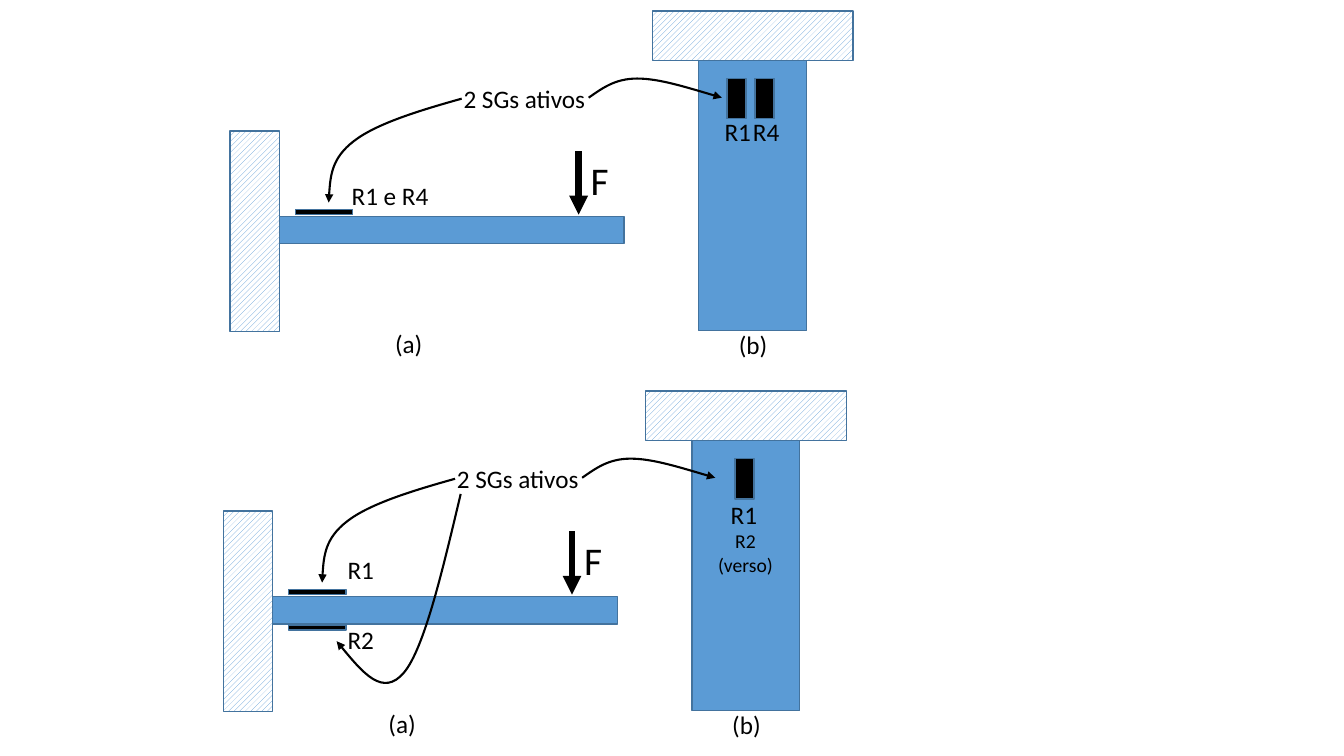
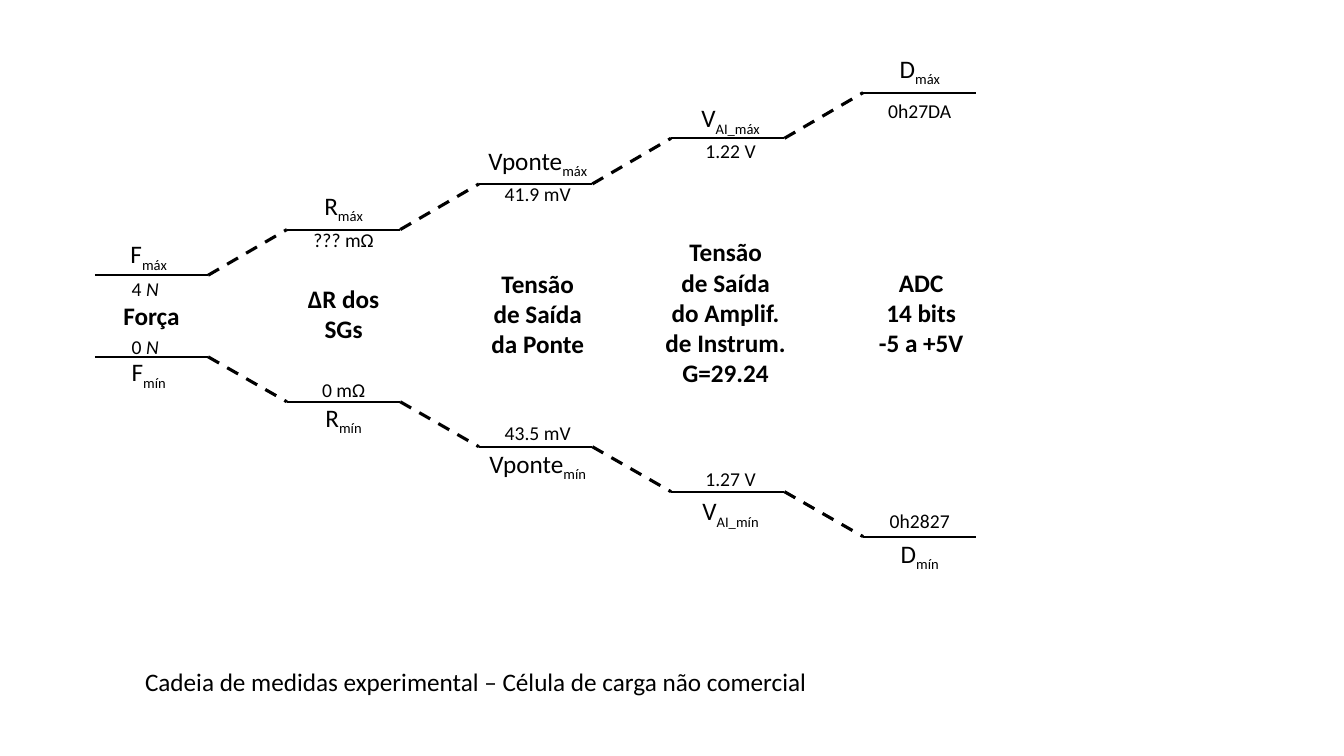
from pptx import Presentation
from pptx.dml.color import RGBColor
from pptx.enum import dml, text
from pptx.enum import shapes as kinds
from pptx.oxml import ns
from pptx.util import Pt
from lxml import etree

FONT = "Calibri"
BLACK, BLUE, EDGE, WHITE = "000000", "5B9BD5", "43739E", "FFFFFF"
LEFT, CENTER = text.PP_ALIGN.LEFT, text.PP_ALIGN.CENTER

RIGHT_CURVE = [(256.3, 61.9), (265.7, 55.4), (275, 48.2), (290.9, 48.2),
               (306.7, 48.2), (329, 55.4), (351.4, 61.9)]
LEFT_CURVE = [(165.6, 62.6), (134.6, 71.3), (104.4, 80.6), (88.6, 92.9),
              (72.7, 105.1), (71.3, 121), (70.6, 136.8)]
UNDER_CURVE = [(169.6, 73.4), (156.6, 128.2), (143.6, 183.6), (129.2, 200.9),
               (114.1, 218.9), (97.6, 198.7), (81, 178.6)]

STAGES = [
    ("F", "", ["Força"], [("4 ", ""), ("N", "i")], [("0 ", ""), ("N", "i")],
     (167, 194.4, 211, 235.4, 251.3), (-2, -4.5, 0)),
    ("R", "", ["ΔR dos", "SGs"], [("??? mΩ", "")], [("0 mΩ", "")],
     (132.5, 159.1, 198.7, 266.4, 283.7), (0, 0, 0)),
    ("Vponte", "", ["Tensão", "de Saída", "da Ponte"], [("41.9 mV", "")], [("43.5 mV", "")],
     (100.1, 126.7, 187.9, 297.4, 316.8), (1.5, 1.5, 1.5)),
    ("V", "AI_", ["Tensão", "de Saída", "do Amplif.", "de Instrum.", "G=29.24"],
     [("1.22 V", "")], [("1.27 V", "")],
     (69.8, 95.8, 165.6, 329.8, 350.6), (2, 2, -1.5)),
    ("D", "", ["ADC", "14 bits", "-5 a +5V"], [("0h27DA", "")], [("0h2827", "")],
     (34.6, 67, 187.2, 360, 380.9), (0, 0, 1)),
]


def colour(value):
    return RGBColor.from_string(value)


def add_text(slide, x, y, width, paragraphs, size=18, align=LEFT):
    label = slide.shapes.add_textbox(Pt(x), Pt(y), Pt(width),
                                     Pt(7.2 + 1.2 * size * len(paragraphs)))
    frame = label.text_frame
    frame.word_wrap = False
    frame.auto_size = text.MSO_AUTO_SIZE.SHAPE_TO_FIT_TEXT
    for index, runs in enumerate(paragraphs):
        paragraph = frame.paragraphs[0] if index == 0 else frame.add_paragraph()
        paragraph.alignment = align
        for words, style in runs:
            run = paragraph.add_run()
            run.text = words
            run.font.name = FONT
            run.font.size = Pt(size)
            run.font.color.rgb = colour(BLACK)
            if style == "b":
                run.font.bold = True
            elif style == "i":
                run.font.italic = True
            elif style == "sub":
                run.font._element.set("baseline", "-25000")


def add_block(slide, x, y, width, height, fill=BLUE, hatched=False):
    block = slide.shapes.add_shape(kinds.MSO_SHAPE.RECTANGLE,
                                   Pt(x), Pt(y), Pt(width), Pt(height))
    block.shadow.inherit = False
    if hatched:
        block.fill.patterned()
        block.fill.pattern = dml.MSO_PATTERN.WIDE_UPWARD_DIAGONAL
        block.fill.fore_color.rgb = colour(BLUE)
        block.fill.back_color.rgb = colour(WHITE)
    else:
        block.fill.solid()
        block.fill.fore_color.rgb = colour(fill)
    block.line.color.rgb = colour(EDGE)
    block.line.width = Pt(1)


def style_line(line, width, arrow=False, dashed=False):
    line.color.rgb = colour(BLACK)
    line.width = Pt(width)
    if dashed:
        line.dash_style = dml.MSO_LINE.DASH
    if arrow:
        etree.SubElement(line._get_or_add_ln(), ns.qn("a:tailEnd"), type="triangle")


def add_line(slide, x1, y1, x2, y2, width=1.5, **style):
    connector = slide.shapes.add_connector(kinds.MSO_CONNECTOR.STRAIGHT,
                                           Pt(x1), Pt(y1), Pt(x2), Pt(y2))
    style_line(connector.line, width, **style)
    etree.SubElement(connector._element.spPr, ns.qn("a:effectLst"))


def add_curve(slide, x, y, points):
    start, *rest = [(Pt(x + dx), Pt(y + dy)) for dx, dy in points]
    builder = slide.shapes.build_freeform(*start)
    builder.add_line_segments(rest, close=False)
    curve = builder.convert_to_shape()
    curve.shadow.inherit = False
    curve.fill.background()
    style_line(curve.line, 1.5, arrow=True)
    segments = list(curve._element.iter(ns.qn("a:lnTo")))
    outline = segments[0].getparent()
    for first in range(0, len(segments), 3):
        bezier = etree.SubElement(outline, ns.qn("a:cubicBezTo"))
        for segment in segments[first:first + 3]:
            bezier.append(segment[0])
            outline.remove(segment)


def draw_beam(slide, x, y, gauge_tops, gauge_lefts, labels, curves):
    add_block(slide, x + 35.3, y + 146.9, 246.2, 19.4)
    add_block(slide, x, y + 85.7, 35.3, 143.3, hatched=True)
    add_line(slide, x + 249.1, y + 100.1, x + 249.1, y + 145.4, 4.5, arrow=True)
    add_text(slide, x + 250.6, y + 100.1, 27.4, [[("F", "")]], 28)
    add_block(slide, x + 301.7, y, 143.3, 35.3, hatched=True)
    add_block(slide, x + 334.8, y + 35.3, 77, 193)
    for top in gauge_tops:
        add_block(slide, x + 46.8, y + top, 41, 3.6, BLACK)
    for left in gauge_lefts:
        add_block(slide, x + left, y + 48.2, 13.7, 28.8, BLACK)
    shared = [("(a)", 110.9, 223.2, 34.6), ("(b)", 356.4, 223.9, 35.3),
              ("2 SGs ativos", 159.8, 48.2, 102.2)]
    for words, left, top, width in shared + labels:
        add_text(slide, x + left, y + top, width, [[(words, "")]])
    for points in [RIGHT_CURVE, LEFT_CURVE] + curves:
        add_curve(slide, x, y, points)


def build_beams(slide):
    draw_beam(slide, 164.2, 7.9, [141.8], [355, 375.1],
              [("R1", 346.3, 71.3, 33.8), ("R4", 366.5, 71.3, 33.8),
               ("R1 e R4", 79.9, 117.4, 69.8)], [])
    x, y = 159.5, 279.4
    draw_beam(slide, x, y, [141.8, 167], [365.4],
              [("R1", 81.7, 113, 33.8), ("R2", 81.7, 162.7, 33.8),
               ("R1", 355.3, 73.4, 33.8)], [UNDER_CURVE])
    add_text(slide, x + 346, y + 95, 54, [[("R2", "")], [("(verso)", "")]], 14, CENTER)


def draw_stage(slide, x, upper, lower, width, stage):
    symbol, prefix, title, high, low, tops, shifts = stage
    for level in (upper, lower):
        add_line(slide, x, level, x + width, level)
    label_shift, value_shift, title_shift = shifts
    parts = [([[(symbol, ""), (prefix + "máx", "sub")]], 18, label_shift),
             ([high], 14, value_shift),
             ([[(words, "b")] for words in title], 18, title_shift),
             ([low], 14, value_shift),
             ([[(symbol, ""), (prefix + "mín", "sub")]], 18, label_shift)]
    margin = 20
    for top, (paragraphs, size, shift) in zip(tops, parts):
        add_text(slide, x - margin + shift, top, width + 2 * margin, paragraphs, size, CENTER)


def build_chain(slide):
    width, step, rise, fall = 81, 137.2, 32.6, 32.1
    for index, stage in enumerate(STAGES):
        x = 67.7 + index * step
        upper, lower = 196.6 - index * rise, 254.9 + index * fall
        draw_stage(slide, x, upper, lower, width, stage)
        if index < len(STAGES) - 1:
            for level, change in ((upper, -rise), (lower, fall)):
                add_line(slide, x + width, level, x + step, level + change, 2.25, dashed=True)
    add_text(slide, 96.5, 472.3, 488.9,
             [[("Cadeia de medidas experimental – Célula de carga não comercial", "")]])


def main():
    deck = Presentation()
    deck.slide_width, deck.slide_height = Pt(960), Pt(540)
    for build in (build_beams, build_chain):
        build(deck.slides.add_slide(deck.slide_layouts[6]))
    deck.save("out.pptx")


if __name__ == "__main__":
    main()
